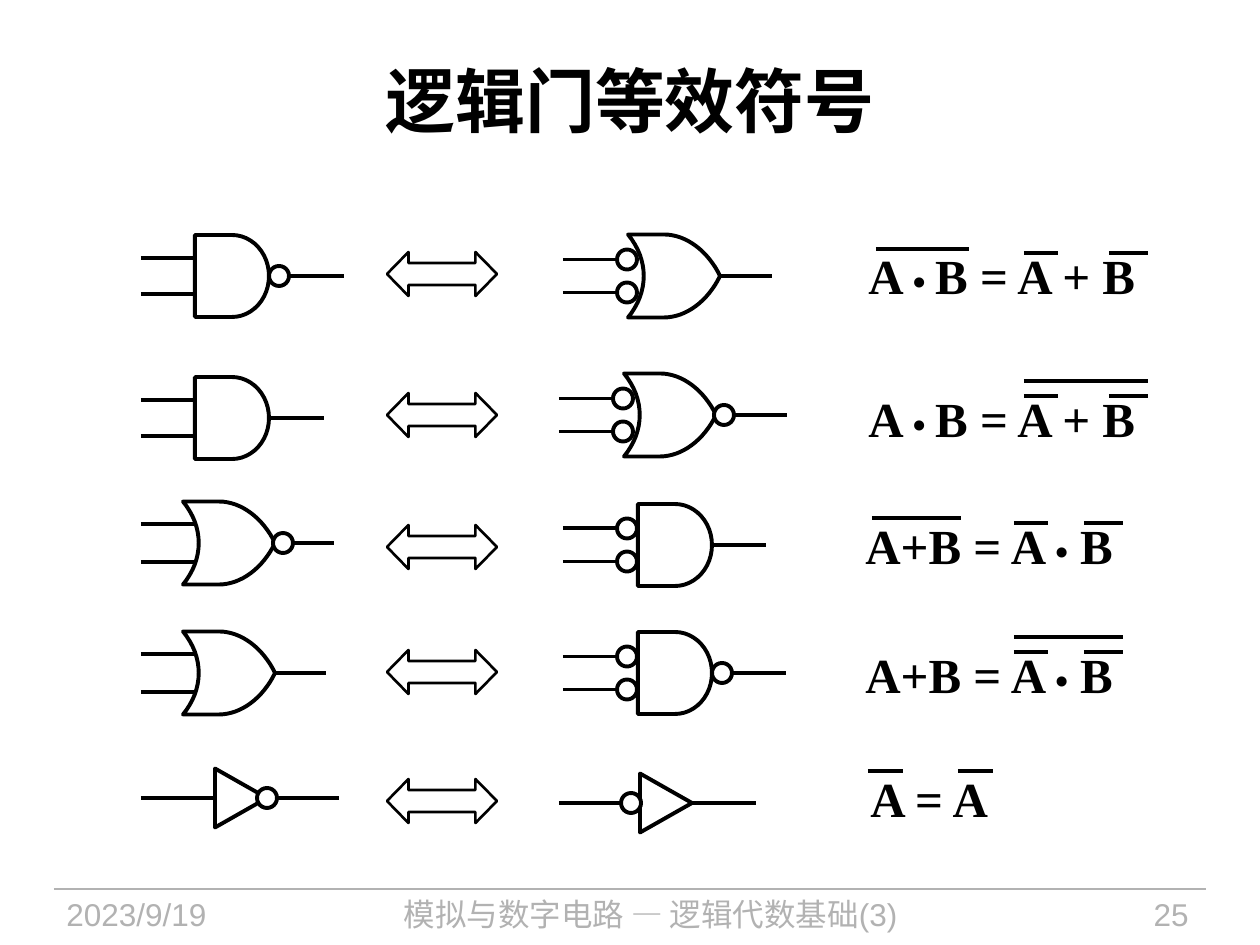
from pptx import Presentation, util as u
from pptx.dml.color import RGBColor
from pptx.enum import shapes, text
from pptx.oxml.ns import qn
from lxml import etree

PX = 914400 / 126
COLORS = {"ink": "000000", "paper": "FFFFFF", "footer": "B2B2B2"}
SERIF, SANS = "Times New Roman", "Arial"
BUBBLE = 20
GATE_W, GATE_H = 74, 82
OR_TIP = 92


def px(n):
    return u.Emu(round(n * PX))


def rgb(name):
    return RGBColor.from_string(COLORS[name])


def add_line(s, x1, y1, x2, y2, color="ink", width=2.25):
    ln = s.shapes.add_connector(shapes.MSO_CONNECTOR.STRAIGHT,
                                px(x1), px(y1), px(x2), px(y2))
    ln.line.color.rgb = rgb(color)
    ln.line.width = u.Pt(width)
    etree.SubElement(ln._element.spPr, qn("a:effectLst"))
    return ln


def style_outline(sp, width=2.25, fill=None):
    sp.shadow.inherit = False
    if fill:
        sp.fill.solid()
        sp.fill.fore_color.rgb = rgb(fill)
    else:
        sp.fill.background()
    sp.line.color.rgb = rgb("ink")
    sp.line.width = u.Pt(width)


def add_preset(s, kind, x, y, w, h, width=2.25, fill=None):
    sp = s.shapes.add_shape(kind, px(x), px(y), px(w), px(h))
    style_outline(sp, width, fill)
    return sp


def add_bubble(s, x, cy, fill=None):
    """Inversion circle with its left edge at x, centred on cy."""
    add_preset(s, shapes.MSO_SHAPE.OVAL, x, cy - BUBBLE / 2, BUBBLE, BUBBLE, fill=fill)


def bezier(p0, p1, p2, p3, steps=16):
    """Points of a cubic curve, without its first point."""
    for i in range(1, steps + 1):
        t = i / steps
        k = 1 - t
        yield tuple(k**3 * a + 3 * k * k * t * b + 3 * k * t * t * c + t**3 * d
                    for a, b, c, d in zip(p0, p1, p2, p3))


def add_or_body(s, x, cy):
    half = GATE_H / 2 + 0.5
    upper = [(36, -half), *bezier((36, -half), (58, -half), (80, -25), (OR_TIP, 0))]
    lower = [(a, -b) for a, b in reversed(upper[:-1])]
    back = list(bezier((0, half), (21, 16), (21, -16), (0, -half)))
    points = [(px(x + a), px(cy + b)) for a, b in upper + lower + [(0, half)] + back]
    fb = s.shapes.build_freeform(*points[0])
    fb.add_line_segments(points[1:], close=True)
    style_outline(fb.convert_to_shape())


def add_gate(s, kind, x, cy, end, inputs_inverted=False, output_inverted=False):
    """Two-input gate with its back at x and its output wire ending at end."""
    is_or = kind == "or"
    body = None
    if is_or:
        add_or_body(s, x, cy)
    else:
        body = add_preset(s, shapes.MSO_SHAPE.FLOWCHART_DELAY,
                          x, cy - GATE_H / 2, GATE_W, GATE_H)
    if inputs_inverted:
        gap = 16.5
        wire_end = x - (11 if is_or else 21)
        wire_start = wire_end - 54
    else:
        gap = 19 if is_or else 18
        wire_end = x + (14 if is_or else 0)
        wire_start = 141
    for y in (cy - gap, cy + gap):
        add_line(s, wire_start, y, wire_end, y)
        if inputs_inverted:
            add_bubble(s, wire_end, y)
    out = x + (OR_TIP if is_or else GATE_W)
    if output_inverted:
        out -= 2 if is_or else 0
        add_bubble(s, out, cy, "paper")
        out += BUBBLE
    wire = add_line(s, out, cy, end, cy)
    if body is not None and not output_inverted:
        wire.begin_connect(body, 3)


def add_inverter(s, start, end, cx, cy, bubble_x):
    add_line(s, start, cy, end, cy)
    w, h = 59, 52
    sp = add_preset(s, shapes.MSO_SHAPE.ISOSCELES_TRIANGLE,
                    cx - w / 2, cy - h / 2, w, h, fill="paper")
    sp.rotation = 90
    add_bubble(s, bubble_x, cy, "paper")


def add_equivalence(s, top):
    sp = add_preset(s, shapes.MSO_SHAPE.LEFT_RIGHT_ARROW, 387, top, 110, 44, 1.5)
    sp.adjustments[0], sp.adjustments[1] = 0.5, 0.489


def format_run(r, size, font, color="ink", bold=False):
    r.font.size = u.Pt(size)
    r.font.name = font
    r.font.bold = bold
    r.font.color.rgb = rgb(color)


def add_formula(s, x, y, w, parts, bars):
    """Formula text; bars are (left, right, y) of the negation lines."""
    tf = s.shapes.add_textbox(px(x), px(y), px(w), px(72)).text_frame
    tf.word_wrap = False
    tf.auto_size = text.MSO_AUTO_SIZE.SHAPE_TO_FIT_TEXT
    for part in parts:
        r = tf.paragraphs[0].add_run()
        r.text = part
        dot = "•" in part
        format_run(r, 20 if dot else 28, SANS if dot else SERIF, bold=True)
    for left, right, bar_y in bars:
        add_line(s, left, bar_y, right, bar_y)


def add_footer(s):
    add_line(s, 54, 889, 1206, 889, "footer", 0.75)
    for x, w, words, align in (
            (54, 237, "2023/9/19", text.PP_ALIGN.LEFT),
            (313, 675, "模拟与数字电路 — 逻辑代数基础(3)", text.PP_ALIGN.CENTER),
            (1033, 168, "25", text.PP_ALIGN.RIGHT)):
        tf = s.shapes.add_textbox(px(x), px(889), px(w), px(55)).text_frame
        tf.word_wrap = True
        tf.text = words
        p = tf.paragraphs[0]
        p.alignment = align
        format_run(p.runs[0], 18, SANS, "footer")


def add_title(s, words):
    sp = s.shapes.title
    sp.left, sp.top, sp.width, sp.height = px(63), px(21), px(1134), px(158)
    tf = sp.text_frame
    tf.text = words
    tf.vertical_anchor = text.MSO_ANCHOR.MIDDLE
    p = tf.paragraphs[0]
    p.alignment = text.PP_ALIGN.CENTER
    format_run(p.runs[0], 40, SANS, bold=True)


def main():
    prs = Presentation()
    prs.slide_width, prs.slide_height = px(1260), px(945)
    s = prs.slides.add_slide(prs.slide_layouts[5])
    add_title(s, "逻辑门等效符号")
    add_footer(s)

    add_gate(s, "and", 195, 276, 344, output_inverted=True)
    add_gate(s, "or", 628, 276, 772, inputs_inverted=True)
    add_gate(s, "and", 195, 418, 324)
    add_gate(s, "or", 624, 415, 787, inputs_inverted=True, output_inverted=True)
    add_gate(s, "or", 183, 543, 334, output_inverted=True)
    add_gate(s, "and", 638, 545, 766, inputs_inverted=True)
    add_gate(s, "or", 183, 673, 326)
    add_gate(s, "and", 638, 673, 786, inputs_inverted=True, output_inverted=True)
    add_inverter(s, 141, 339, 241, 798, 257)
    add_inverter(s, 559, 756, 666, 803, 621)

    for top in (252, 393, 525, 650, 779):
        add_equivalence(s, top)

    product_first = ["A ", "• ", "B = A + B"]
    sum_first = ["A+B = A ", "•", " B"]
    for x, y, w, parts, spans, long_bar in (
            (856, 239, 301, product_first, [(1024, 1058), (1109, 1148)], (876, 969, 249)),
            (856, 382, 301, product_first, [(1024, 1058), (1109, 1148)], (1024, 1148, 381)),
            (853, 509, 278, sum_first, [(1014, 1048), (1084, 1123)], (872, 961, 518)),
            (853, 638, 278, sum_first, [(1014, 1048), (1084, 1123)], (1014, 1123, 637))):
        bars = [(left, right, y + 14) for left, right in spans]
        add_formula(s, x, y, w, parts, bars + [long_bar])
    add_formula(s, 858, 762, 149, ["A = A"], [(868, 903, 771), (958, 993, 771)])

    prs.save("out.pptx")


if __name__ == "__main__":
    main()
